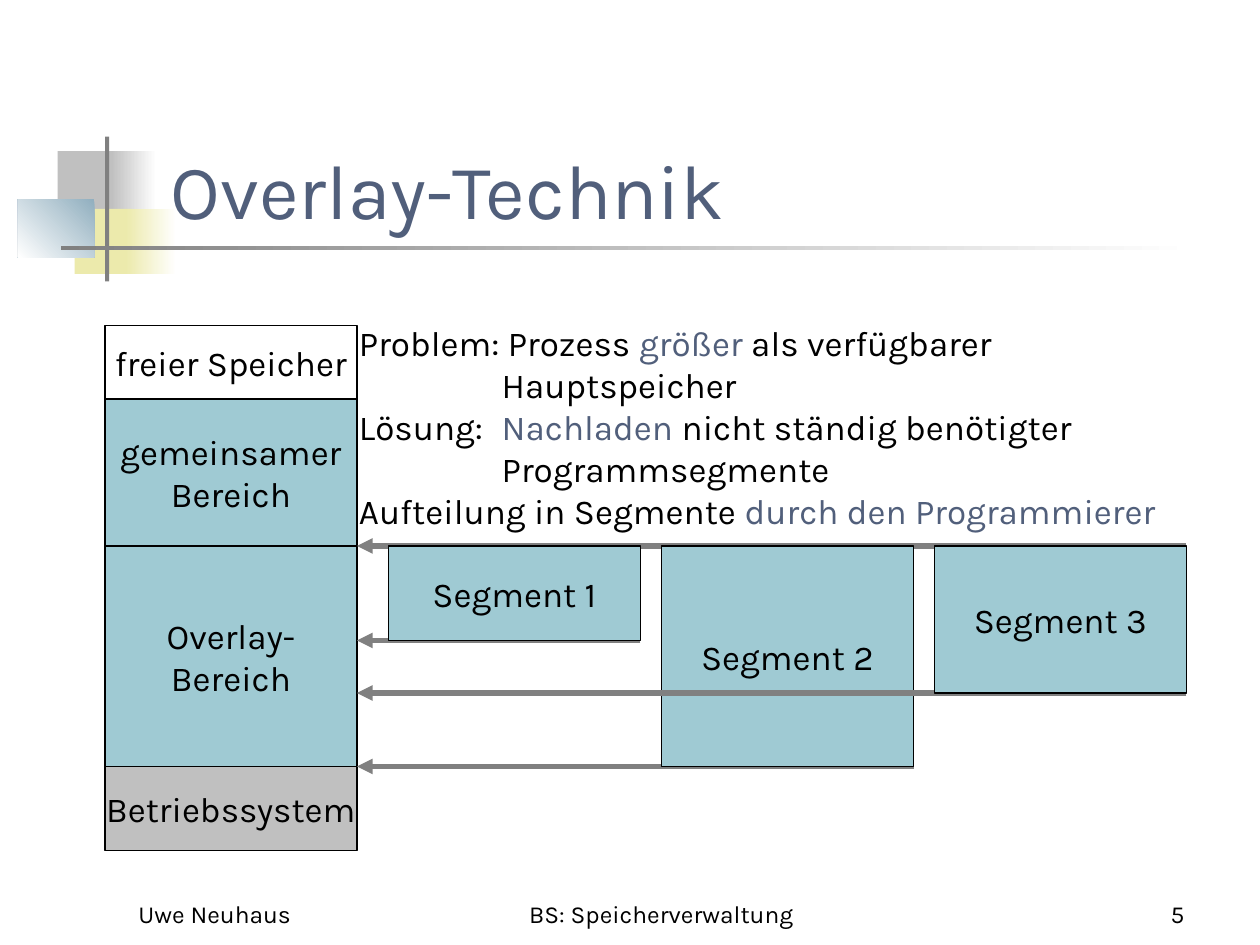
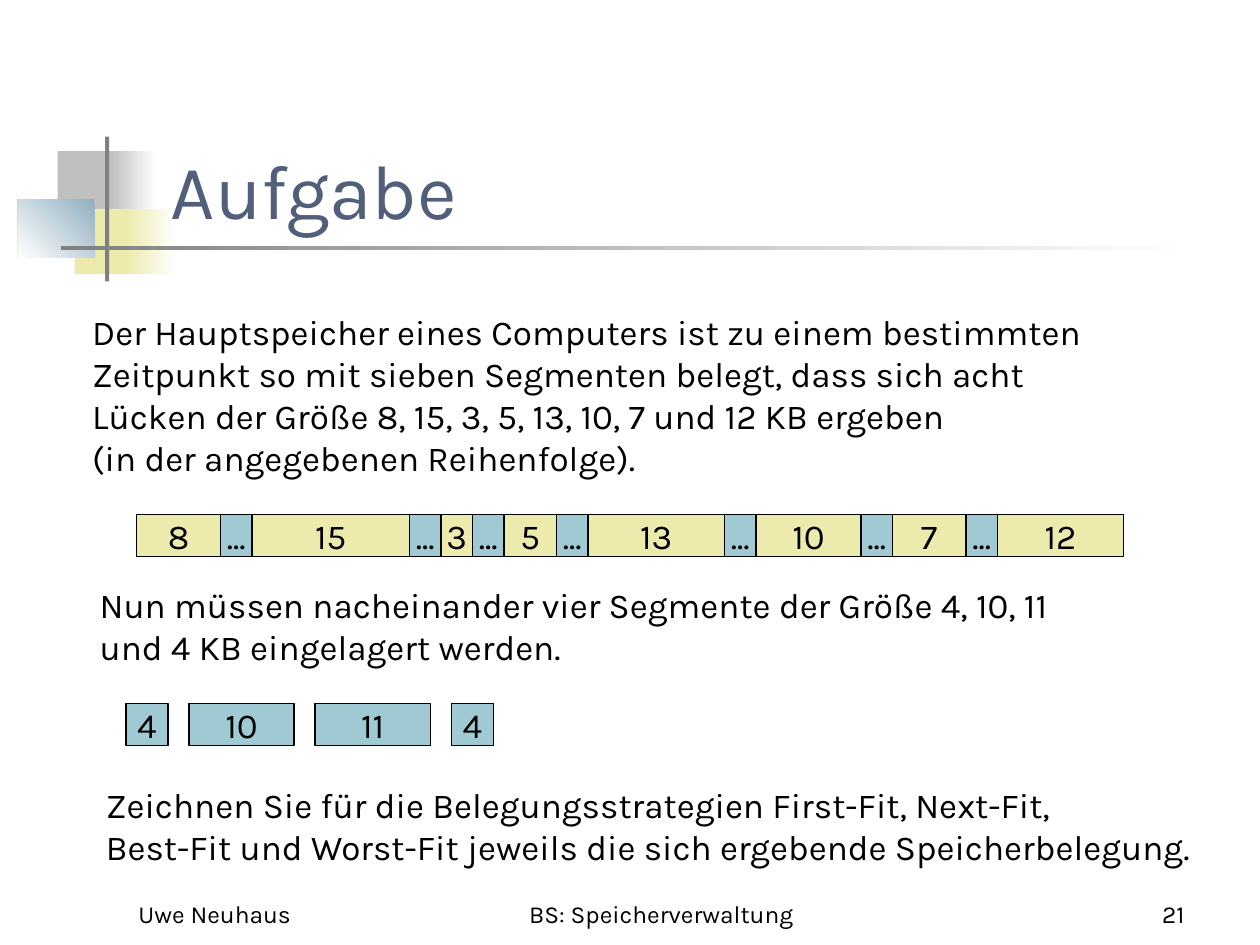
from lxml import etree
from pptx import Presentation
from pptx.dml.color import RGBColor
from pptx.enum.shapes import MSO_CONNECTOR, MSO_SHAPE
from pptx.enum.text import MSO_ANCHOR, PP_ALIGN
from pptx.oxml.ns import qn
from pptx.util import Emu, Pt

RECTANGLE = MSO_SHAPE.RECTANGLE
STRAIGHT = MSO_CONNECTOR.STRAIGHT
LEFT, CENTER, RIGHT = PP_ALIGN.LEFT, PP_ALIGN.CENTER, PP_ALIGN.RIGHT
TOP, MIDDLE, BOTTOM = MSO_ANCHOR.TOP, MSO_ANCHOR.MIDDLE, MSO_ANCHOR.BOTTOM

BLACK = RGBColor(0x00, 0x00, 0x00)
WHITE = RGBColor(0xFF, 0xFF, 0xFF)
SLATE = RGBColor(0x51, 0x5F, 0x7B)
SILVER = RGBColor(0xC0, 0xC0, 0xC0)
GRAY = RGBColor(0x80, 0x80, 0x80)
YELLOW = RGBColor(0xEC, 0xEA, 0xAC)
TEAL = RGBColor(0x9F, 0xCA, 0xD3)
STEEL = RGBColor(0x91, 0xAF, 0xBF)

PX = 7620  # EMU per px, 120 px to the inch
FONT = "Karla"
BODY_SIZE, TITLE_SIZE, FOOTER_SIZE = 20, 44, 14


def px(length):
    return Emu(length * PX)


class SlideBuilder:
    """Holds the deck style and the current page."""

    def __init__(self):
        self.deck = Presentation()
        self.deck.slide_width, self.deck.slide_height = px(1200), px(900)
        self.page = None

    def new_page(self, title, number):
        self.page = self.deck.slides.add_slide(self.deck.slide_layouts[6])
        self.ornament()
        self.text(151, 80, 1022, 150, [title], TITLE_SIZE, SLATE, anchor=BOTTOM)
        footers = [(120, 250, "Uwe Neuhaus", LEFT),
                   (440, 380, "BS: Speicherverwaltung", CENTER),
                   (890, 250, number, RIGHT)]
        for x, width, label, align in footers:
            self.text(x, 830, width, 60, [label], FOOTER_SIZE, align=align, anchor=BOTTOM)

    def ornament(self):
        self.block(55, 144, 58, 62, SILVER)
        self.fade(106, 144, 43, 62, SILVER)
        self.block(71, 199, 55, 62, YELLOW)
        self.fade(120, 199, 48, 62, YELLOW)
        self.fade(17, 190, 73, 55, STEEL, angle=225)
        self.block(100, 130, 4, 138, GRAY)
        self.fade(58, 234, 1080, 4, GRAY)

    def block(self, x, y, width, height, color):
        box = self.page.shapes.add_shape(RECTANGLE, px(x), px(y), px(width), px(height))
        box.shadow.inherit = False
        box.fill.solid()
        box.fill.fore_color.rgb = color
        box.line.fill.background()
        return box

    def fade(self, x, y, width, height, color, angle=0):
        """A rectangle that runs from a colour to white."""
        fill = self.block(x, y, width, height, color).fill
        fill.gradient()
        fill.gradient_angle = angle
        for stop, stop_color in zip(fill.gradient_stops, (color, WHITE)):
            stop.color.rgb = stop_color

    def cell(self, x, y, width, height, label, color):
        """An outlined memory block with a centred label."""
        box = self.block(x, y, width, height, color)
        box.line.color.rgb = BLACK
        box.line.width = Pt(0.75)
        frame = box.text_frame
        frame.word_wrap = False
        frame.vertical_anchor = MIDDLE
        frame.margin_left = frame.margin_right = 0
        self.add_spans(frame.paragraphs[0], label, BODY_SIZE, BLACK, CENTER)

    def text(self, x, y, width, height, paras, size=BODY_SIZE, color=BLACK,
             align=LEFT, anchor=TOP):
        box = self.page.shapes.add_textbox(px(x), px(y), px(width), px(height))
        frame = box.text_frame
        frame.word_wrap = True
        frame.vertical_anchor = anchor
        for index, spans in enumerate(paras):
            para = frame.add_paragraph() if index else frame.paragraphs[0]
            self.add_spans(para, spans, size, color, align)
        return frame

    def add_spans(self, para, spans, size, color, align):
        """Spans are plain text or a list of text and (text, colour) pairs."""
        para.alignment = align
        for span in [spans] if isinstance(spans, str) else spans:
            words, span_color = (span, color) if isinstance(span, str) else span
            for index, line in enumerate(words.split("\n")):
                if index:
                    para.add_line_break()
                run = para.add_run()
                run.text = line
                run.font.name = FONT
                run.font.size = Pt(size)
                run.font.color.rgb = span_color

    def indent(self, para, left):
        para._p.get_or_add_pPr().set("marL", str(px(left)))

    def tab_stop(self, para, position):
        tabs = etree.SubElement(para._p.get_or_add_pPr(), qn("a:tabLst"))
        etree.SubElement(tabs, qn("a:tab"), pos=str(px(position)), algn="l")

    def arrow(self, start_x, end_x, y):
        line = self.page.shapes.add_connector(STRAIGHT, px(start_x), px(y), px(end_x), px(y))
        line.line.color.rgb = GRAY
        line.line.width = Pt(3)
        properties = line._element.spPr
        etree.SubElement(properties.find(qn("a:ln")), qn("a:tailEnd"), type="triangle")
        etree.SubElement(properties, qn("a:effectLst"))


def overlay_page(show):
    show.new_page("Overlay-Technik", "5")

    # Memory column, from top to bottom
    column_x, cell_width, y = 100, 240, 310
    areas = [("freier Speicher", 70, WHITE), ("gemeinsamer\nBereich", 140, TEAL),
             ("Overlay-\nBereich", 210, TEAL), ("Betriebssystem", 80, SILVER)]
    for label, height, color in areas:
        show.cell(column_x, y, cell_width, height, label, color)
        y += height

    # Problem and solution
    frame = show.text(330, 300, 815, 212, [
        ["Problem: Prozess ", ("größer", SLATE), " als verfügbarer"],
        "Hauptspeicher",
        ["Lösung:\t", ("Nachladen", SLATE), " nicht ständig benötigter"],
        "Programmsegmente",
        ["Aufteilung in Segmente ", ("durch den Programmierer", SLATE)]])
    answer_x = 136
    for index in (1, 3):
        show.indent(frame.paragraphs[index], answer_x)
    show.tab_stop(frame.paragraphs[2], answer_x)

    # Segments that share the overlay area
    column_right, overlay_y, first_x, step = column_x + cell_width, 520, 370, 260
    heights = (90, 210, 140)
    show.arrow(first_x + 2 * step + cell_width, column_right, overlay_y)
    for index, height in enumerate(heights):
        x = first_x + index * step
        show.arrow(x + cell_width, column_right, overlay_y + height)
        show.cell(x, overlay_y, cell_width, height, f"Segment {index + 1}", TEAL)


def exercise_page(show):
    show.new_page("Aufgabe", "21")
    px_per_kb, row_height = 10, 40

    show.text(76, 290, 1000, 173, [
        "Der Hauptspeicher eines Computers ist zu einem bestimmten\n"
        "Zeitpunkt so mit sieben Segmenten belegt, dass sich acht\n"
        "Lücken der Größe 8, 15, 3, 5, 13, 10, 7 und 12 KB ergeben\n"
        "(in der angegebenen Reihenfolge)."])

    # Gaps with occupied segments between them
    x, used_width = 130, 30
    for index, size in enumerate((8, 15, 3, 5, 13, 10, 7, 12)):
        if index:
            show.cell(x, 490, used_width, row_height, "...", TEAL)
            x += used_width
        show.cell(x, 490, size * px_per_kb, row_height, str(size), YELLOW)
        x += size * px_per_kb

    show.text(83, 550, 1000, 92, [
        "Nun müssen nacheinander vier Segmente der Größe 4, 10, 11\n"
        "und 4 KB eingelagert werden."])

    # Segments to be stored
    x, spacing = 120, 20
    for size in (4, 10, 11, 4):
        show.cell(x, 670, size * px_per_kb, row_height, str(size), TEAL)
        x += size * px_per_kb + spacing

    show.text(89, 740, 1086, 92, [
        "Zeichnen Sie für die Belegungsstrategien First-Fit, Next-Fit,",
        "Best-Fit und Worst-Fit jeweils die sich ergebende Speicherbelegung."])


def main():
    show = SlideBuilder()
    overlay_page(show)
    exercise_page(show)
    show.deck.save("out.pptx")


if __name__ == "__main__":
    main()
